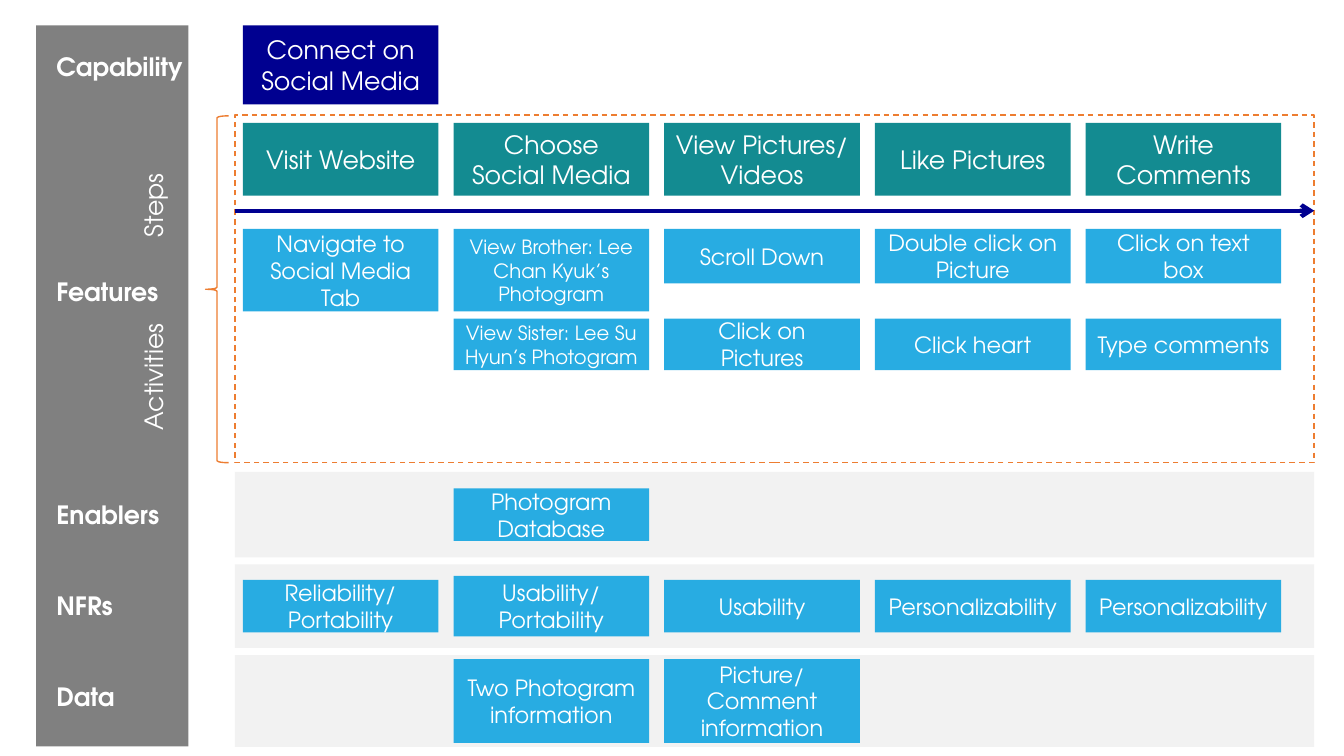
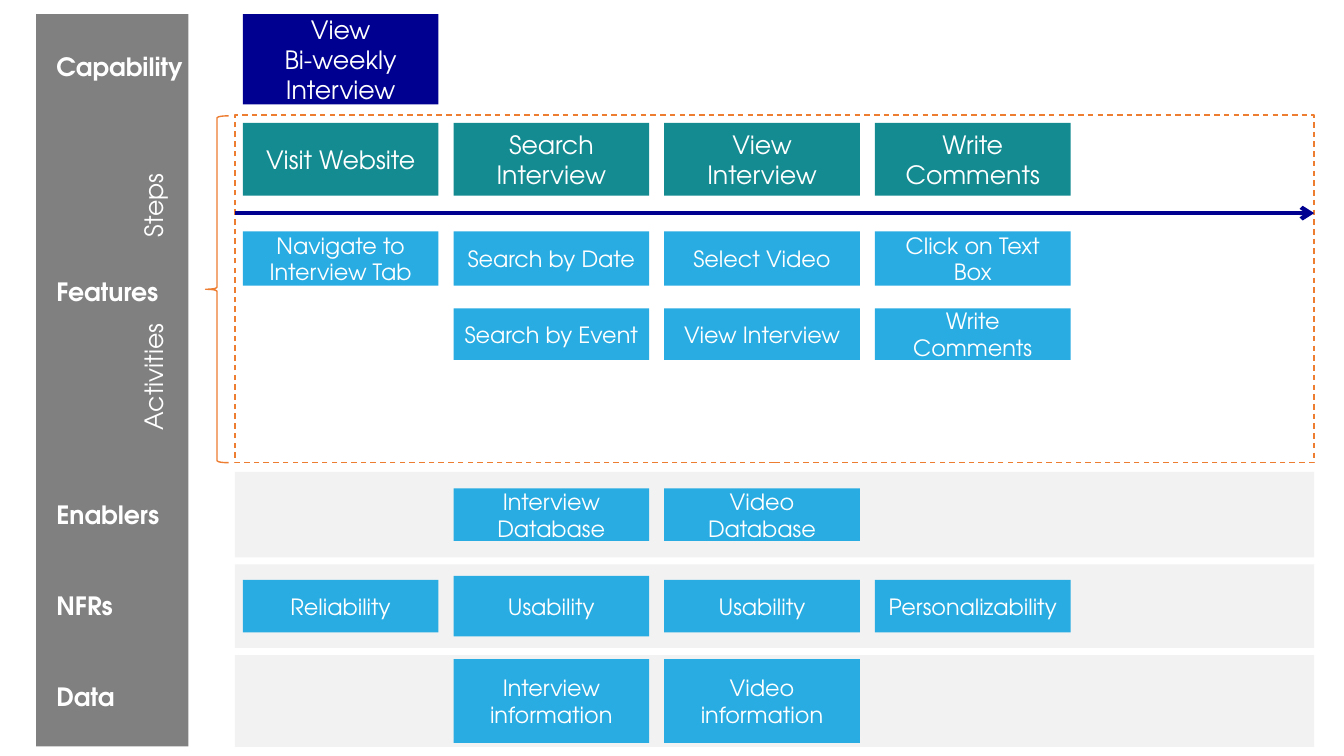
from dataclasses import dataclass, field

from lxml.etree import SubElement
from pptx import Presentation
from pptx.dml.color import RGBColor
from pptx.enum.dml import MSO_LINE
from pptx.enum.shapes import MSO_CONNECTOR, MSO_SHAPE
from pptx.enum.text import MSO_ANCHOR, MSO_AUTO_SIZE, PP_ALIGN
from pptx.oxml.ns import qn
from pptx.util import Cm, Pt


@dataclass(frozen=True)
class Theme:
    font: str = "TeX Gyre Adventor"
    text: str = "FFFFFF"
    sidebar: str = "808080"
    capability: str = "000090"
    step: str = "138B91"
    card: str = "28ACE2"
    band: str = "F2F2F2"
    frame: str = "ED7D31"
    heading_size: int = 18
    card_size: int = 16
    small_size: int = 14
    frame_line: int = 1
    arrow_line: int = 3


@dataclass(frozen=True)
class Box:
    """A rectangle in centimetres."""
    left: float
    top: float
    width: float
    height: float

    @property
    def right(self):
        return self.left + self.width

    @property
    def bottom(self):
        return self.top + self.height

    @property
    def middle(self):
        return self.top + self.height / 2

    def lengths(self):
        return [Cm(value) for value in (self.left, self.top, self.width, self.height)]


@dataclass(frozen=True)
class Card:
    column: int
    text: str
    height: float = 0
    size: int = 16


@dataclass(frozen=True)
class StoryMap:
    top: float
    capability: str
    steps: list
    activity_tops: tuple
    activities: tuple
    bands: dict = field(default_factory=dict)


THEME = Theme()
FRAME = Box(5.92, 2.9, 27.2, 8.76)
BANDS = {
    "Enablers": Box(FRAME.left, 11.89, FRAME.width, 2.16),
    "NFRs": Box(FRAME.left, 14.22, FRAME.width, 2.11),
    "Data": Box(FRAME.left, 16.51, FRAME.width, 2.31),
}
BAND_CARD_HEIGHTS = {"Enablers": 1.32, "NFRs": 1.32, "Data": 2.11}
SIDEBAR_LEFT, SIDEBAR_WIDTH, SIDEBAR_BOTTOM = 0.91, 3.84, 18.81
LABEL_MIDDLES = {"Capability": 1.68, "Features": 7.34, "Enablers": 12.98,
                 "NFRs": 15.27, "Data": 17.55}
SIDE_NOTES = {"Steps": (5.18, 2.84), "Activities": (9.5, 3.25)}
LABEL_HEIGHT = 1.02
CARD_WIDTH, COLUMN_PITCH, CARD_INDENT = 4.93, 5.31, 0.2
ACTIVITY_HEIGHTS = (1.37, 1.3)
TALL_CARD = 2.08
ARROW_GAP = 0.46


def color(code):
    return RGBColor.from_string(code)


def write(shape, text, size, bold=False, align=PP_ALIGN.CENTER):
    frame = shape.text_frame
    frame.word_wrap = True
    for index, line in enumerate(text.split("\n")):
        para = frame.add_paragraph() if index else frame.paragraphs[0]
        para.alignment = align
        span = para.add_run()
        span.text = line
        span.font.name = THEME.font
        span.font.size = Pt(size)
        span.font.bold = bold
        span.font.color.rgb = color(THEME.text)


def add_block(page, box, fill, text="", size=THEME.card_size):
    shape = page.shapes.add_shape(MSO_SHAPE.RECTANGLE, *box.lengths())
    shape.shadow.inherit = False
    shape.fill.solid()
    shape.fill.fore_color.rgb = color(fill)
    shape.line.fill.background()
    if text:
        shape.text_frame.vertical_anchor = MSO_ANCHOR.MIDDLE
        write(shape, text, size)


def add_outline(page, preset, box, dash=None):
    shape = page.shapes.add_shape(preset, *box.lengths())
    shape.shadow.inherit = False
    shape.fill.background()
    shape.line.color.rgb = color(THEME.frame)
    shape.line.width = Pt(THEME.frame_line)
    shape.line.dash_style = dash


def add_label(page, box, text, rotation=0, **style):
    label = page.shapes.add_textbox(*box.lengths())
    label.rotation = rotation
    write(label, text, THEME.heading_size, **style)
    label.text_frame.auto_size = MSO_AUTO_SIZE.SHAPE_TO_FIT_TEXT


def add_arrow(page, left, right, height):
    arrow = page.shapes.add_connector(
        MSO_CONNECTOR.STRAIGHT, Cm(left), Cm(height), Cm(right), Cm(height))
    arrow.line.color.rgb = color(THEME.capability)
    arrow.line.width = Pt(THEME.arrow_line)
    properties = arrow._element.spPr
    SubElement(properties.find(qn("a:ln")), qn("a:tailEnd"), type="arrow")
    SubElement(properties, qn("a:effectLst"))


def card_box(region, column, top, height):
    """Box of a card in one of the columns of the region."""
    left = region.left + CARD_INDENT + column * COLUMN_PITCH
    return Box(left, top, CARD_WIDTH, height)


def add_sidebar(page, box):
    add_block(page, box, THEME.sidebar)
    for text, middle in LABEL_MIDDLES.items():
        label = Box(box.left + 0.26, middle - LABEL_HEIGHT / 2, 3.78, LABEL_HEIGHT)
        add_label(page, label, text, bold=True, align=PP_ALIGN.LEFT)
    for text, (middle, width) in SIDE_NOTES.items():
        note = Box(box.left + 2.95 - width / 2, middle - LABEL_HEIGHT / 2,
                   width, LABEL_HEIGHT)
        add_label(page, note, text, rotation=270)


def add_features(page, box, story):
    """Dashed frame with the steps above the arrow and the activities below."""
    add_outline(page, MSO_SHAPE.RECTANGLE, box, MSO_LINE.DASH)
    add_outline(page, MSO_SHAPE.LEFT_BRACE,
                Box(box.left - 0.74, box.top + 0.02, 0.58, box.height - 0.02))
    for column, text in enumerate(story.steps):
        add_block(page, card_box(box, column, box.top + 0.2, 1.83),
                  THEME.step, text, THEME.heading_size)
    add_arrow(page, box.left, box.right, story.activity_tops[0] - ARROW_GAP)
    for top, height, cards in zip(story.activity_tops, ACTIVITY_HEIGHTS, story.activities):
        for card in cards:
            add_block(page, card_box(box, card.column, top, card.height or height),
                      THEME.card, card.text, card.size)


def add_band(page, box, cards, card_height):
    add_block(page, box, THEME.band)
    for card in cards:
        height = card.height or card_height
        add_block(page, card_box(box, card.column, box.middle - height / 2, height),
                  THEME.card, card.text, card.size)


def add_story_map(deck, story):
    page = deck.slides.add_slide(deck.slide_layouts[6])
    add_sidebar(page, Box(SIDEBAR_LEFT, story.top, SIDEBAR_WIDTH,
                          SIDEBAR_BOTTOM - story.top))
    add_block(page, card_box(FRAME, 0, story.top, 2.63 - story.top),
              THEME.capability, story.capability, THEME.heading_size)
    add_features(page, FRAME, story)
    for name, box in BANDS.items():
        add_band(page, box, story.bands[name], BAND_CARD_HEIGHTS[name])


STORIES = [
    StoryMap(
        top=0.64,
        capability="Connect on Social Media",
        steps=["Visit Website", "Choose\nSocial Media", "View Pictures/ Videos",
               "Like Pictures", "Write Comments"],
        activity_tops=(5.77, 8.03),
        activities=(
            [Card(0, "Navigate to Social Media Tab", TALL_CARD),
             Card(1, "View Brother: Lee Chan Kyuk’s Photogram", TALL_CARD,
                  THEME.small_size),
             Card(2, "Scroll Down"),
             Card(3, "Double click on Picture"),
             Card(4, "Click on text box")],
            [Card(1, "View Sister: Lee Su Hyun’s Photogram", size=THEME.small_size),
             Card(2, "Click on Pictures"),
             Card(3, "Click heart"),
             Card(4, "Type comments")],
        ),
        bands={
            "Enablers": [Card(1, "Photogram Database")],
            "NFRs": [Card(0, "Reliability/\nPortability"),
                     Card(1, "Usability/ Portability", 1.52),
                     Card(2, "Usability"),
                     Card(3, "Personalizability"),
                     Card(4, "Personalizability")],
            "Data": [Card(1, "Two Photogram information"),
                     Card(2, "Picture/ Comment information")],
        },
    ),
    StoryMap(
        top=0.36,
        capability="View\nBi-weekly Interview",
        steps=["Visit Website", "Search Interview", "View Interview", "Write Comments"],
        activity_tops=(5.83, 7.77),
        activities=(
            [Card(0, "Navigate to Interview Tab"),
             Card(1, "Search by Date"),
             Card(2, "Select Video"),
             Card(3, "Click on Text Box")],
            [Card(1, "Search by Event"),
             Card(2, "View Interview"),
             Card(3, "Write Comments")],
        ),
        bands={
            "Enablers": [Card(1, "Interview Database"), Card(2, "Video Database")],
            "NFRs": [Card(0, "Reliability"),
                     Card(1, "Usability", 1.52),
                     Card(2, "Usability"),
                     Card(3, "Personalizability")],
            "Data": [Card(1, "Interview information"), Card(2, "Video information")],
        },
    ),
]


def main():
    deck = Presentation()
    deck.slide_width, deck.slide_height = Cm(33.87), Cm(19.05)
    for story in STORIES:
        add_story_map(deck, story)
    deck.save("out.pptx")


if __name__ == "__main__":
    main()
